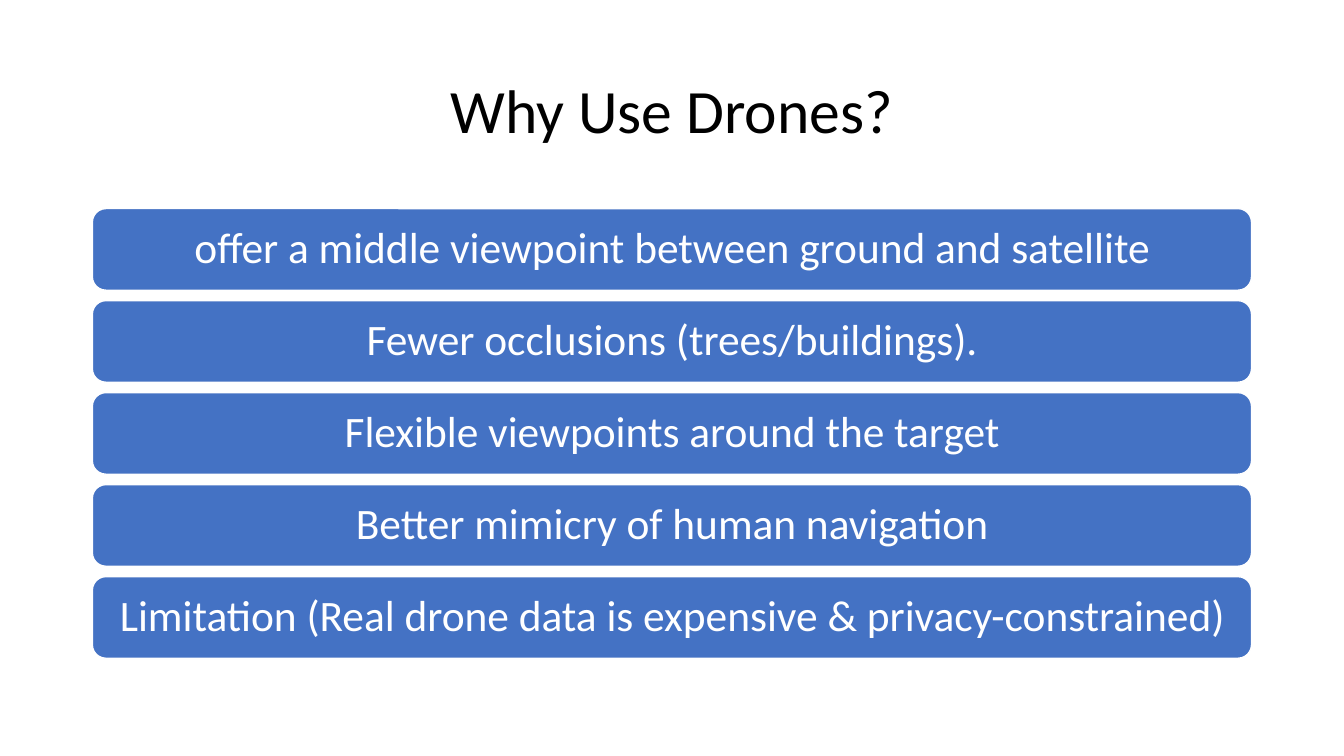
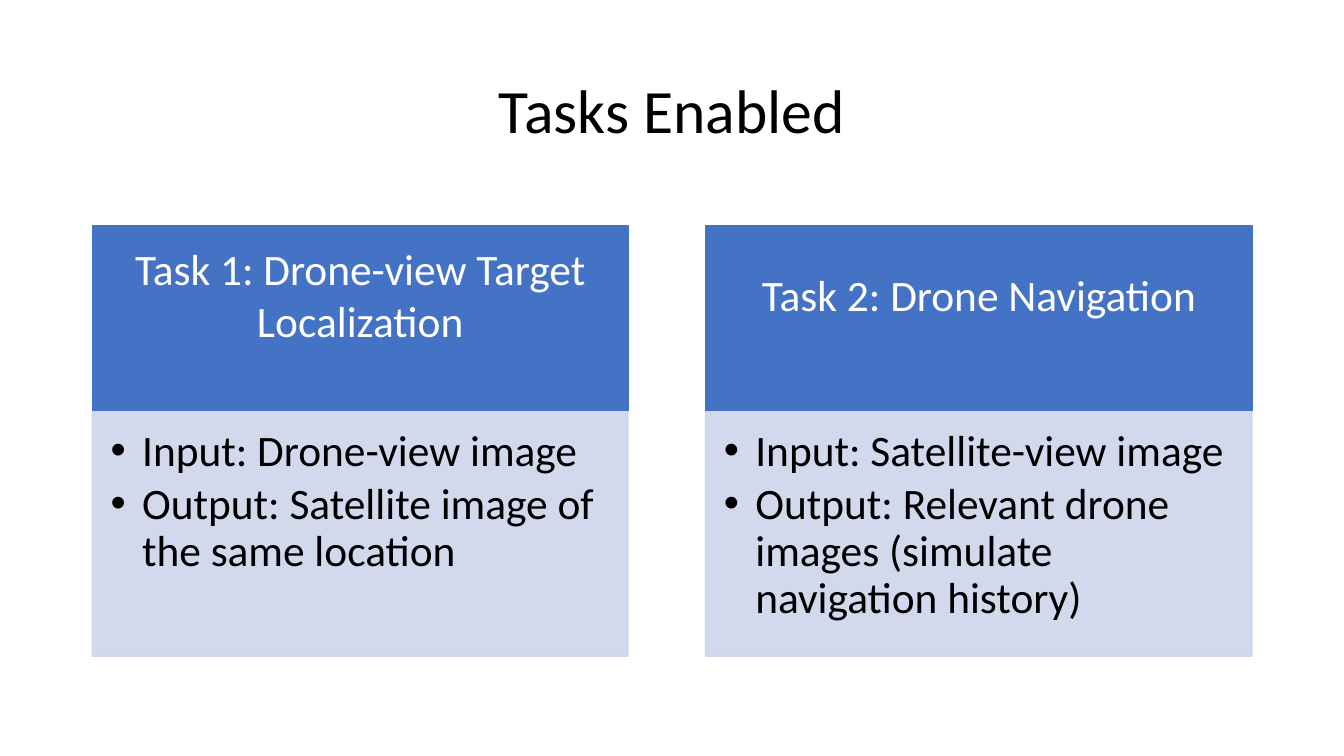
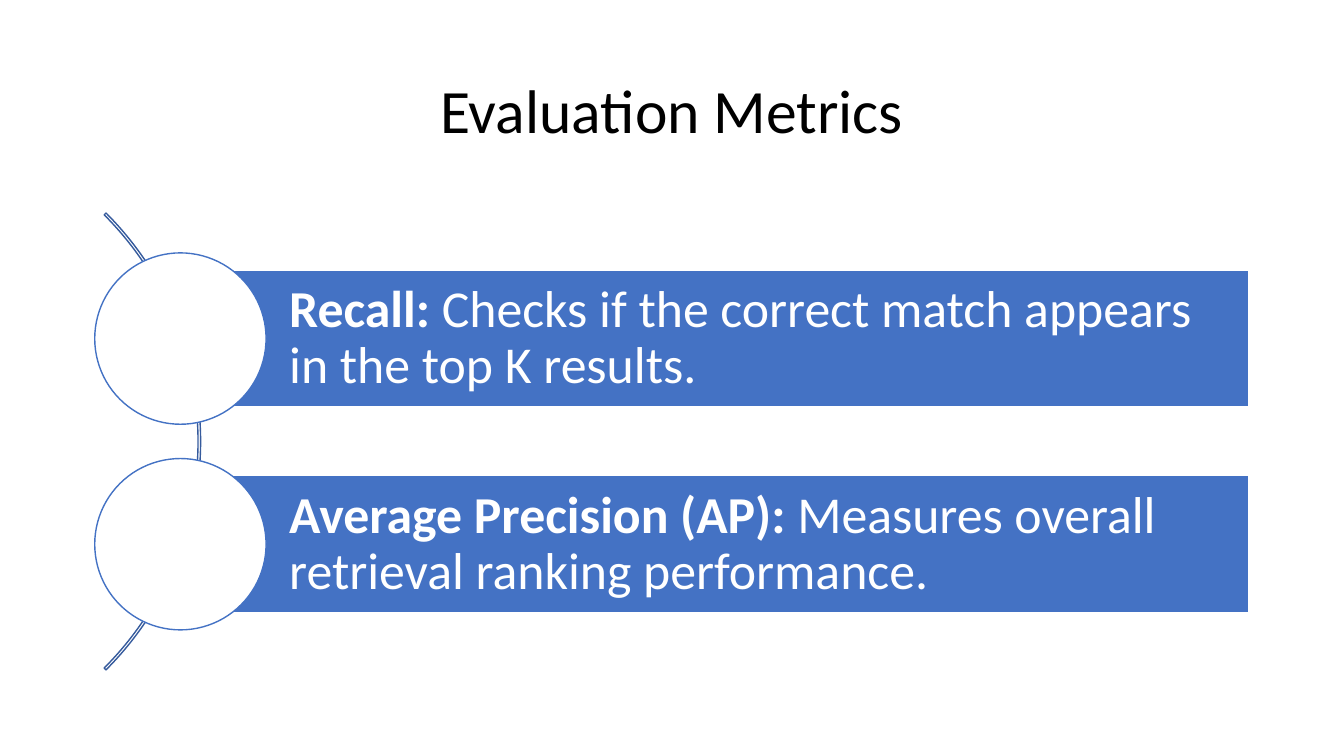
from lxml import etree
from pptx import Presentation
from pptx.dml.color import RGBColor
from pptx.enum import shapes, text
from pptx.oxml import ns
from pptx.util import Pt

BLUE = RGBColor(0x44, 0x72, 0xC4)
DARK_BLUE = RGBColor(0x36, 0x5B, 0x9D)
PALE_BLUE = RGBColor(0xCF, 0xD5, 0xEA)
WHITE = RGBColor(0xFF, 0xFF, 0xFF)
BLACK = RGBColor(0, 0, 0)
FONT = "Calibri"
TITLE_BOX = (66, 29, 828, 104.4)
TWO_CONTENT, TITLE_ONLY = 3, 5
LEFT, CENTER = text.PP_ALIGN.LEFT, text.PP_ALIGN.CENTER
TOP, MIDDLE = text.MSO_ANCHOR.TOP, text.MSO_ANCHOR.MIDDLE
KINDS = shapes.MSO_SHAPE

REASONS = [
    "offer a middle viewpoint between ground and satellite",
    "Fewer occlusions (trees/buildings).",
    "Flexible viewpoints around the target",
    "Better mimicry of human navigation",
    "Limitation (Real drone data is expensive & privacy-constrained)",
]
TASKS = [
    ("Task 1: Drone-view Target Localization",
     ["Input: Drone-view image", "Output: Satellite image of the same location"],
     (66, 161.3, 382.5, 307.5)),
    ("Task 2: Drone Navigation",
     ["Input: Satellite-view image",
      "Output: Relevant drone images (simulate navigation history)"],
     (504, 161.3, 390.24, 307.5)),
]
METRICS = [
    ("Recall: ", "Checks if the correct match appears in the top K results."),
    ("Average Precision (AP):", " Measures overall retrieval ranking performance."),
]


def place(part, box):
    """Move a part to a box given in points."""
    part.left, part.top, part.width, part.height = map(Pt, box)


def set_frame(part, insets, anchor):
    """Set wrapping, anchor and left, top, right, bottom insets; return the frame."""
    frame = part.text_frame
    frame.word_wrap = True
    frame.auto_size = text.MSO_AUTO_SIZE.NONE
    frame.vertical_anchor = anchor
    (frame.margin_left, frame.margin_top,
     frame.margin_right, frame.margin_bottom) = map(Pt, insets)
    return frame


def write(paragraph, runs, size, color, align=LEFT, spacing=0.9):
    """Write (wording, bold) runs into a paragraph."""
    paragraph.alignment = align
    paragraph.line_spacing = spacing
    paragraph.space_before = Pt(0)
    for wording, bold in runs:
        run = paragraph.add_run()
        run.text = wording
        run.font.name = FONT
        run.font.size = Pt(size)
        run.font.bold = bold
        run.font.color.rgb = color


def paint(part, fill, line):
    """Give a part its fill and one-point outline."""
    if fill is None:
        part.fill.background()
    else:
        part.fill.solid()
        part.fill.fore_color.rgb = fill
    part.line.color.rgb = line
    part.line.width = Pt(1)


def add_part(slide, kind, box, fill, line):
    """Add a preset shape without shadow."""
    part = slide.shapes.add_shape(kind, *map(Pt, box))
    part.shadow.inherit = False
    paint(part, fill, line)
    return part


def add_slide(deck, layout, heading):
    """Add a slide with the shared title style."""
    slide = deck.slides.add_slide(deck.slide_layouts[layout])
    title = slide.shapes.title
    place(title, TITLE_BOX)
    frame = set_frame(title, (7.2, 3.6, 7.2, 3.6), MIDDLE)
    write(frame.paragraphs[0], [(heading, False)], 44, BLACK, CENTER)
    return slide


def add_reasons(slide, box):
    """Stack equal rounded bars, one per reason, in the box."""
    left, top, width, height = box
    gap = 7.4
    bar_height = (height - gap * (len(REASONS) - 1)) / len(REASONS)
    for row, reason in enumerate(REASONS):
        bar_top = top + row * (bar_height + gap)
        bar = add_part(slide, KINDS.ROUNDED_RECTANGLE,
                       (left, bar_top, width, bar_height), BLUE, WHITE)
        frame = set_frame(bar, (9.4, 9.4, 9.4, 9.4), MIDDLE)
        write(frame.paragraphs[0], [(reason, False)], 31, WHITE, CENTER)


def add_task(slide, details, name, points, box):
    """Fill the box with a task header above its list of details."""
    left, top, width, height = box
    header_height = 131.8
    header = add_part(slide, KINDS.RECTANGLE, (left, top, width, header_height), BLUE, BLUE)
    frame = set_frame(header, (17, 10, 17, 44), MIDDLE)
    write(frame.paragraphs[0], [(name, False)], 31, WHITE, CENTER, 1.0)

    place(details, (left, top + header_height, width, height - header_height))
    paint(details, PALE_BLUE, PALE_BLUE)
    for color in list(details._element.spPr.iter(ns.qn("a:srgbClr"))):
        etree.SubElement(color, ns.qn("a:alpha"), val="90000")
    frame = set_frame(details, (13, 13, 17, 19), TOP)
    for row, point in enumerate(points):
        item = frame.add_paragraph() if row else frame.paragraphs[0]
        write(item, [(point, False)], 31, BLACK)
        item.space_after = Pt(4.5)
        properties = item._p.get_or_add_pPr()
        properties.set("marL", str(Pt(22.5)))
        properties.set("indent", str(-Pt(22.5)))


def add_metrics(slide, box):
    """Draw the arc and the metric bars with circles, centred in the box."""
    left, top, width, height = box
    arc_size, circle_size, bar_height, pitch = 461.5, 122.4, 98, 146.9
    middle = top + height / 2
    bar_left = left + circle_size / 2
    arc = add_part(slide, KINDS.BLOCK_ARC,
                   (bar_left + 14.4 - arc_size, middle - arc_size / 2, arc_size, arc_size),
                   None, DARK_BLUE)
    for index, value in enumerate((189, 27, 0.004)):
        arc.adjustments[index] = value
    for row, (name, meaning) in enumerate(METRICS):
        center = middle + (row - (len(METRICS) - 1) / 2) * pitch
        bar = add_part(slide, KINDS.RECTANGLE,
                       (bar_left, center - bar_height / 2,
                        left + width - bar_left, bar_height), BLUE, WHITE)
        frame = set_frame(bar, (77.7, 7.2, 7.2, 7.2), MIDDLE)
        write(frame.paragraphs[0], [(name, True), (meaning, False)], 37, WHITE)
        add_part(slide, KINDS.OVAL,
                 (left, center - circle_size / 2, circle_size, circle_size), WHITE, BLUE)


def main():
    """Build and save the three slides."""
    deck = Presentation()
    deck.slide_width, deck.slide_height = Pt(960), Pt(540)

    add_reasons(add_slide(deck, TITLE_ONLY, "Why Use Drones?"), (66, 149, 828, 321.2))

    tasks = add_slide(deck, TWO_CONTENT, "Tasks Enabled")
    for index, (name, points, box) in enumerate(TASKS, 1):
        add_task(tasks, tasks.placeholders[index], name, points, box)

    add_metrics(add_slide(deck, TITLE_ONLY, "Evaluation Metrics"), (67.7, 149, 824.4, 332.6))
    deck.save("out.pptx")


if __name__ == "__main__":
    main()
